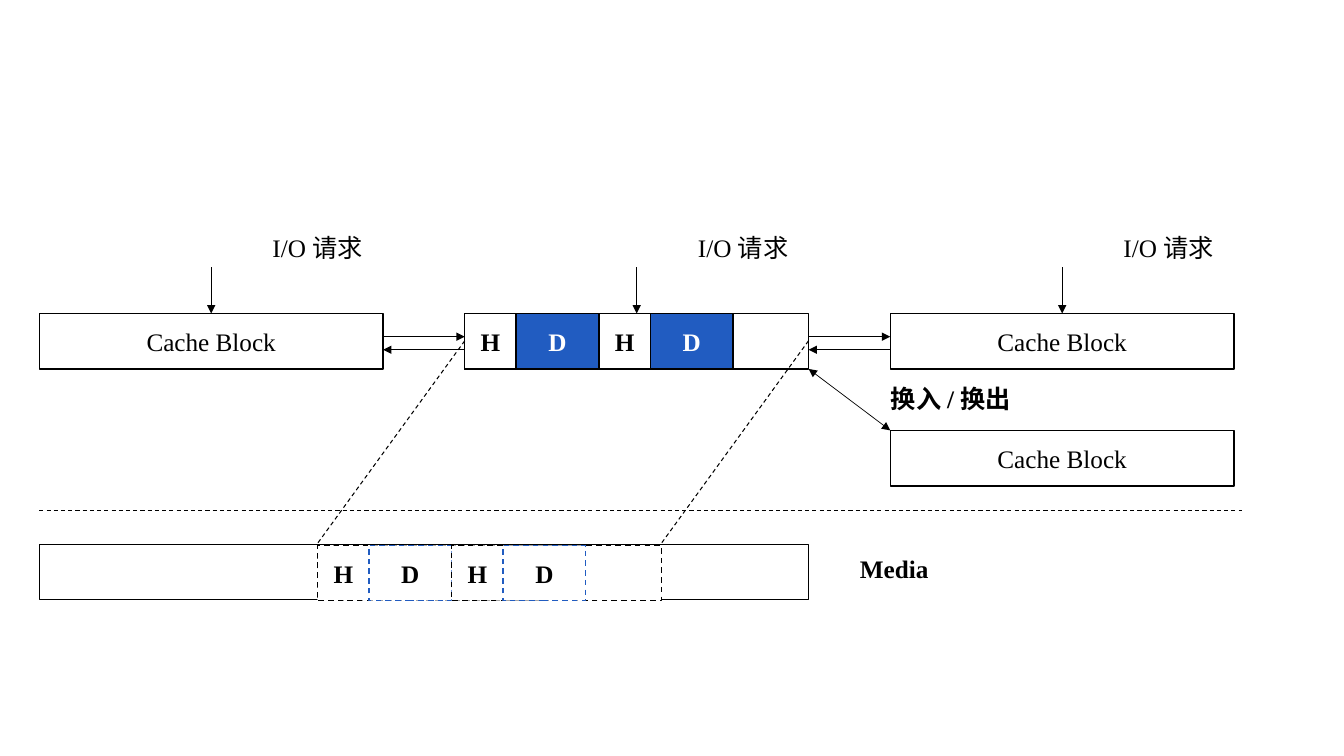
from dataclasses import dataclass

from lxml import etree
from pptx import Presentation
from pptx.dml.color import RGBColor
from pptx.enum.dml import MSO_LINE
from pptx.enum.shapes import MSO_CONNECTOR, MSO_SHAPE
from pptx.enum.text import MSO_ANCHOR, MSO_AUTO_SIZE, PP_ALIGN
from pptx.oxml.ns import qn
from pptx.util import Inches, Pt

RECTANGLE = MSO_SHAPE.RECTANGLE
STRAIGHT = MSO_CONNECTOR.STRAIGHT
DASH = MSO_LINE.DASH
MIDDLE = MSO_ANCHOR.MIDDLE
FIT_SHAPE = MSO_AUTO_SIZE.SHAPE_TO_FIT_TEXT
LEFT, CENTER = PP_ALIGN.LEFT, PP_ALIGN.CENTER


@dataclass(frozen=True)
class Theme:
    """Colours, font and point sizes of the slide."""
    ink: RGBColor = RGBColor(0, 0, 0)
    paper: RGBColor = RGBColor(255, 255, 255)
    data: RGBColor = RGBColor(0x21, 0x5C, 0xC1)
    font: str = "Times New Roman"
    text_size: float = 18
    border: float = 1
    arrow: float = 0.5
    guide: float = 0.75


@dataclass(frozen=True)
class Box:
    """A rectangle in inches."""
    left: float
    top: float
    width: float
    height: float

    @property
    def right(self):
        """Return the right edge."""
        return self.left + self.width

    @property
    def bottom(self):
        """Return the bottom edge."""
        return self.top + self.height

    def lengths(self):
        """Return the box as four slide lengths."""
        return [Inches(v) for v in (self.left, self.top, self.width, self.height)]


THEME = Theme()
BLOCK_WIDTH, BLOCK_HEIGHT = 3.41, 0.55
ROW_TOP, PITCH, MARGIN = 3.11, 4.22, 0.39
PAGE_CELLS = [("H", 0.51), ("D", 0.82), ("H", 0.51), ("D", 0.82)]


def write(frame, text, color=THEME.ink, bold=False, align=CENTER):
    """Write one run of text in the theme font."""
    paragraph = frame.paragraphs[0]
    paragraph.alignment = align
    run = paragraph.add_run()
    run.text = text
    run.font.name = THEME.font
    run.font.size = Pt(THEME.text_size)
    run.font.bold = bold
    run.font.color.rgb = color


def add_cell(slide, box, text="", fill=THEME.paper, border=THEME.ink,
             color=THEME.ink, bold=False, dashed=False):
    """Add a bordered rectangle with optional centred text."""
    cell = slide.shapes.add_shape(RECTANGLE, *box.lengths())
    cell.shadow.inherit = False
    cell.fill.solid()
    cell.fill.fore_color.rgb = fill
    cell.line.color.rgb = border
    cell.line.width = Pt(THEME.border)
    if dashed:
        cell.line.dash_style = DASH
    if text:
        cell.text_frame.vertical_anchor = MIDDLE
        write(cell.text_frame, text, color, bold)


def add_label(slide, box, text, bold=False, align=CENTER):
    """Add a wrapping text label."""
    frame = slide.shapes.add_textbox(*box.lengths()).text_frame
    frame.word_wrap = True
    frame.auto_size = FIT_SHAPE
    write(frame, text, bold=bold, align=align)


def add_line(slide, start, end, width, ends=(), dashed=False):
    """Add a straight line with arrowheads at the named ends."""
    points = [Inches(v) for v in (*start, *end)]
    connector = slide.shapes.add_connector(STRAIGHT, *points)
    connector.line.color.rgb = THEME.ink
    connector.line.width = Pt(width)
    if dashed:
        connector.line.dash_style = DASH
    outline = connector.line._get_or_add_ln()
    for end_name in ends:
        etree.SubElement(outline, qn(f"a:{end_name}"), type="triangle")
    etree.SubElement(connector._element.spPr, qn("a:effectLst"))


def add_request(slide, block):
    """Add the I/O request arrow and label above a cache block."""
    middle = block.left + block.width / 2
    add_line(slide, (middle, block.top - 0.46), (middle, block.top),
             THEME.arrow, ["tailEnd"])
    add_label(slide, Box(middle + 0.2, block.top - 0.85, 1.71, 0.4), "I/O 请求")


def add_exchange(slide, first, second):
    """Add the pair of opposite arrows between two neighbouring blocks."""
    forward, back = first.top + 0.23, first.top + 0.36
    add_line(slide, (first.right, forward), (second.left, forward),
             THEME.arrow, ["tailEnd"])
    add_line(slide, (second.left, back), (first.right, back),
             THEME.arrow, ["tailEnd"])


def add_page(slide, box, cached):
    """Add a page of header and data cells, solid when cached."""
    add_cell(slide, box, dashed=not cached)
    left = box.left
    for letter, width in PAGE_CELLS:
        is_data = letter == "D"
        filled = is_data and cached
        add_cell(slide, Box(left, box.top, width, box.height), letter,
                 fill=THEME.data if filled else THEME.paper,
                 border=THEME.data if is_data and not cached else THEME.ink,
                 color=THEME.paper if filled else THEME.ink,
                 bold=True, dashed=not cached)
        left += width


def add_cache_row(slide, blocks, spare):
    """Add the cache blocks, their requests and the swap with the spare."""
    first, page, last = blocks
    for block in (first, last, spare):
        add_cell(slide, block, "Cache Block")
    add_exchange(slide, first, page)
    add_exchange(slide, page, last)
    for block in blocks:
        add_request(slide, block)
    add_page(slide, page, cached=True)
    add_line(slide, (page.right, page.bottom), (spare.left, spare.top),
             THEME.arrow, ["headEnd", "tailEnd"])
    add_label(slide, Box(spare.left - 0.26, spare.top - 0.52, 1.72, 0.4),
              "换入 / 换出", bold=True)


def add_media(slide, media, stored, page):
    """Add the media strip and the projection of the cached page onto it."""
    add_cell(slide, media)
    for upper, lower in ((page.left, stored.left), (page.right, stored.right)):
        add_line(slide, (upper, page.top + 0.27), (lower, media.top - 0.01),
                 THEME.guide, dashed=True)
    add_page(slide, stored, cached=False)
    add_label(slide, Box(media.right + 0.41, media.top + 0.04, 0.99, 0.71),
              "Media", bold=True, align=LEFT)
    boundary = media.top - 0.34
    add_line(slide, (media.left, boundary), (media.left + 11.93, boundary),
             THEME.guide, dashed=True)


def main():
    """Build and save the cache diagram."""
    deck = Presentation()
    deck.slide_width, deck.slide_height = Inches(13.33), Inches(7.5)
    slide = deck.slides.add_slide(deck.slide_layouts[6])
    blocks = [Box(MARGIN + i * PITCH, ROW_TOP, BLOCK_WIDTH, BLOCK_HEIGHT)
              for i in range(3)]
    spare = Box(blocks[2].left, 4.27, BLOCK_WIDTH, BLOCK_HEIGHT)
    media = Box(MARGIN, 5.4, PITCH + BLOCK_WIDTH, BLOCK_HEIGHT)
    stored = Box(3.15, 5.41, BLOCK_WIDTH, BLOCK_HEIGHT)
    add_cache_row(slide, blocks, spare)
    add_media(slide, media, stored, blocks[1])
    deck.save("out.pptx")


main()
